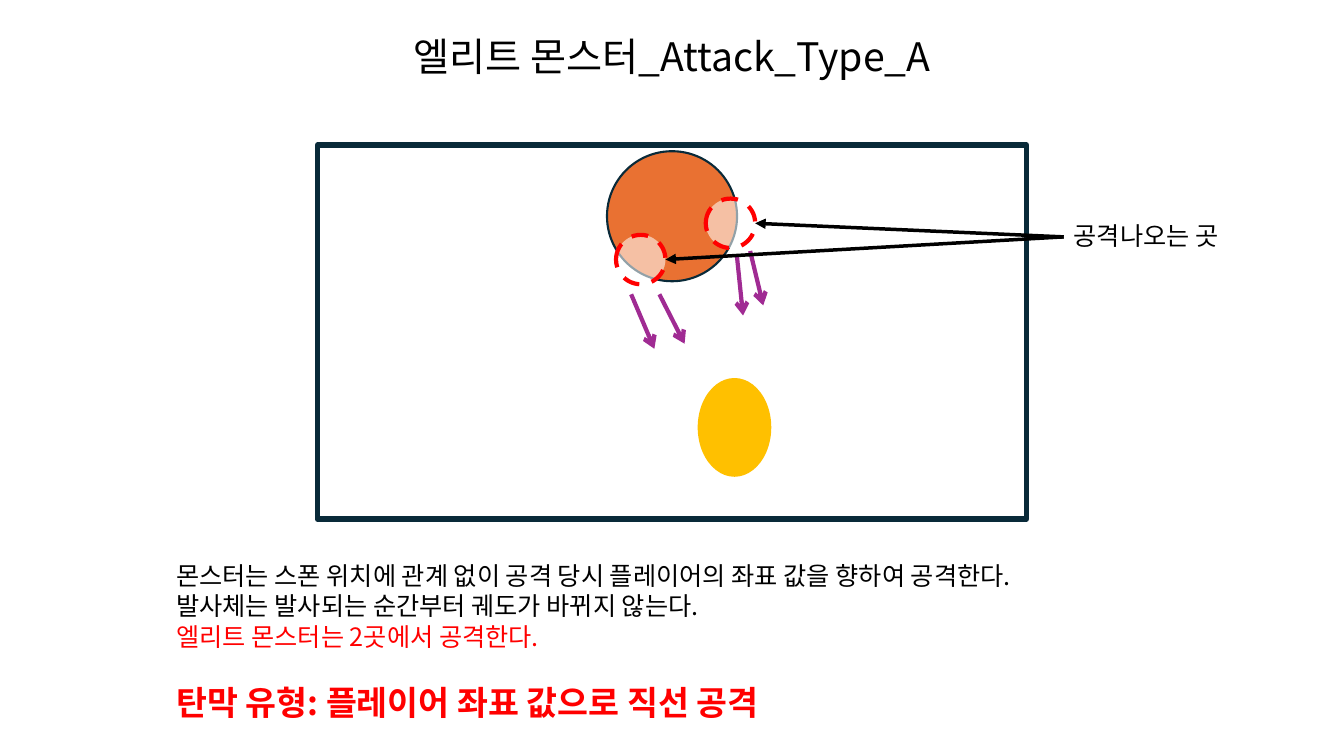
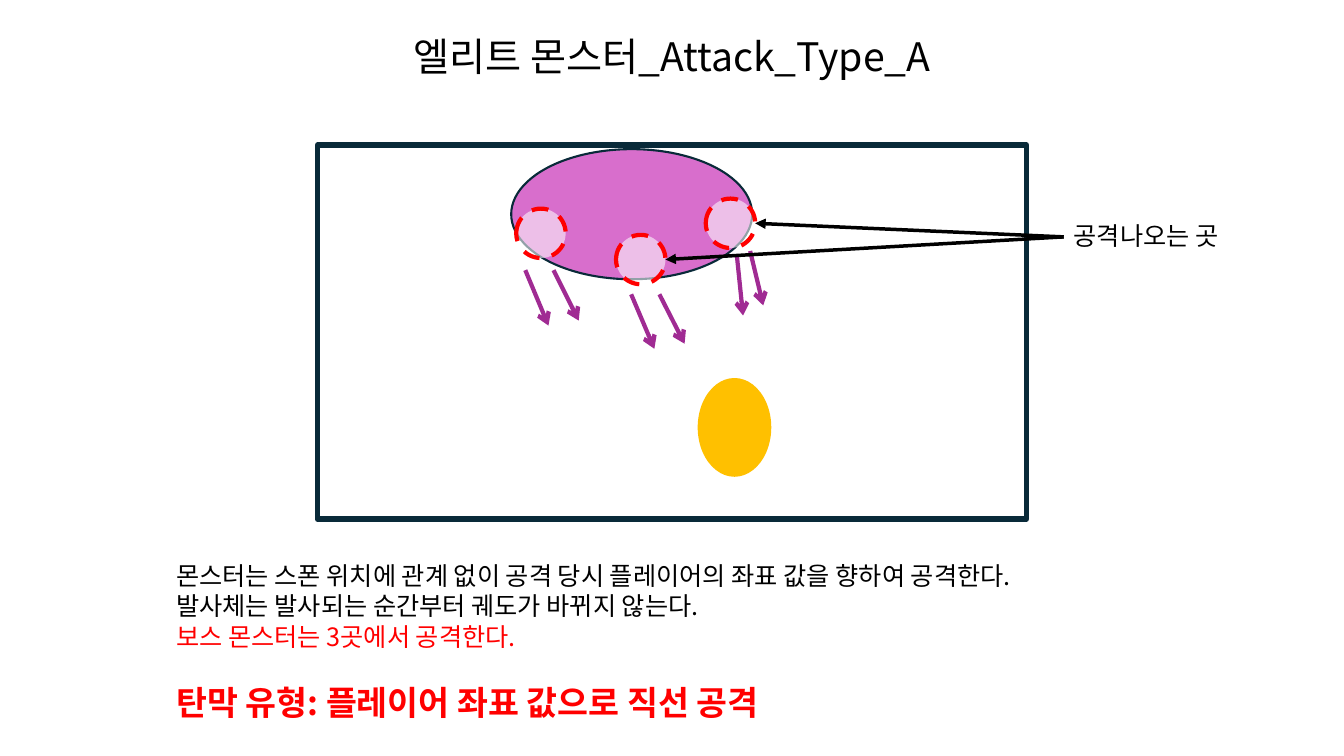
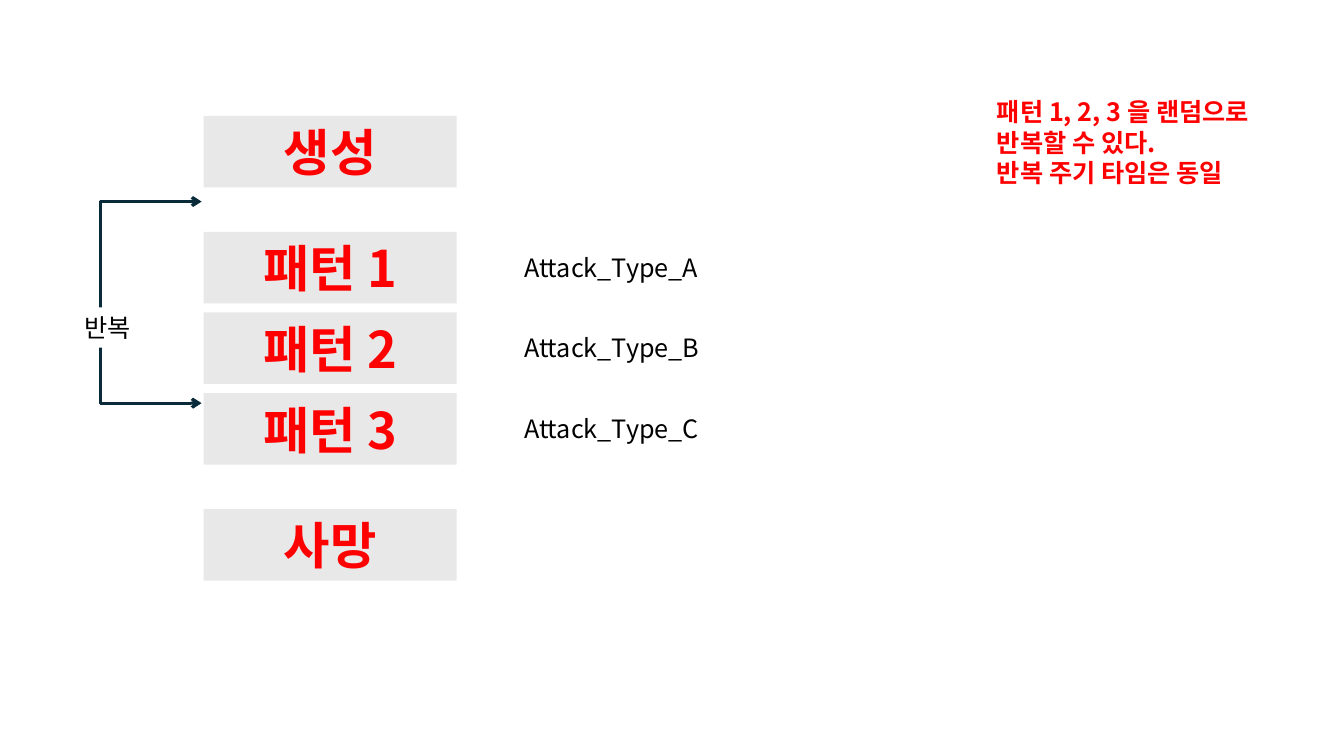
from lxml.etree import SubElement
from pptx import Presentation
from pptx.dml.color import RGBColor
from pptx.enum.dml import MSO_LINE
from pptx.enum.shapes import MSO_CONNECTOR, MSO_SHAPE
from pptx.enum.text import MSO_ANCHOR, PP_ALIGN
from pptx.oxml.ns import qn
from pptx.util import Inches, Pt

SLIDE_W, SLIDE_H = 13.33, 7.5
FONT = "Noto Sans CJK KR"
BLACK = RGBColor(0x00, 0x00, 0x00)
WHITE = RGBColor(0xFF, 0xFF, 0xFF)
RED = RGBColor(0xFF, 0x00, 0x00)
NAVY = RGBColor(0x09, 0x2A, 0x39)
ORANGE = RGBColor(0xE9, 0x71, 0x32)
PINK = RGBColor(0xD8, 0x6E, 0xCC)
GOLD = RGBColor(0xFF, 0xC0, 0x00)
PURPLE = RGBColor(0xA0, 0x2B, 0x93)
GREY = RGBColor(0xE8, 0xE8, 0xE8)

# Arena, centred on the slide
ARENA_W, ARENA_H, ARENA_TOP = 7.03, 3.71, 1.44
ARENA_LEFT = (SLIDE_W - ARENA_W) / 2
MUZZLE = 0.49
CALLOUT = (10.55, 2.35)

# Each muzzle: top-left corner of its circle, then its shots (from, to)
LOWER_MUZZLE = ((6.11, 2.33), [((6.26, 2.92), (6.49, 3.46)),
                               ((6.54, 2.92), (6.79, 3.41))])
RIGHT_MUZZLE = ((7.0, 1.97), [((7.44, 2.49), (7.57, 3.03)),
                              ((7.31, 2.55), (7.37, 3.13))])
LEFT_MUZZLE = ((5.12, 2.07), [((5.21, 2.68), (5.44, 3.23)),
                              ((5.49, 2.68), (5.74, 3.18))])

# Life cycle rows
STAGE_LEFT, STAGE_W, STAGE_H = 2.02, 2.51, 0.71
PATTERN_TOP, PATTERN_STEP, PHASE_STEP = 2.3, 0.8, 1.15
ATTACK_LEFT = 5.1

# Repeat loop: start point, then cubic segments (control, control, end)
LOOP_START = (1.65, 2.33)
LOOP_CURVES = [
    ((1.49, 2.37), (1.62, 2.32), (1.41, 2.51)),
    ((1.36, 2.56), (1.30, 2.60), (1.24, 2.65)),
    ((1.18, 2.78), (1.13, 2.87), (1.10, 3.02)),
    ((1.08, 3.10), (1.07, 3.19), (1.06, 3.27)),
    ((1.08, 3.42), (1.08, 3.57), (1.11, 3.71)),
    ((1.12, 3.76), (1.16, 3.80), (1.19, 3.84)),
    ((1.27, 3.95), (1.39, 4.02), (1.51, 4.04)),
    ((1.56, 4.05), (1.60, 4.04), (1.65, 4.04)),
]


def write(shape, lines, align=PP_ALIGN.LEFT, anchor=MSO_ANCHOR.TOP):
    """Fill a shape with lines of (text, size, colour, bold, space before)."""
    frame = shape.text_frame
    frame.word_wrap = True
    frame.vertical_anchor = anchor
    for i, (text, size, color, bold, before) in enumerate(lines):
        paragraph = frame.add_paragraph() if i else frame.paragraphs[0]
        paragraph.alignment = align
        paragraph.space_before = Pt(before)
        run = paragraph.add_run()
        run.text = text
        font = run.font
        font.name, font.size, font.bold = FONT, Pt(size), bold
        font.color.rgb = color
        SubElement(run._r.get_or_add_rPr(), qn("a:ea"), typeface=FONT)


def add_text(slide, box, lines, align=PP_ALIGN.LEFT):
    write(slide.shapes.add_textbox(*map(Inches, box)), lines, align)


def style(shape, fill=None, line=None, width=1):
    shape.shadow.inherit = False
    if fill is None:
        shape.fill.background()
    else:
        shape.fill.solid()
        shape.fill.fore_color.rgb = fill
    if line is None:
        shape.line.fill.background()
    else:
        shape.line.color.rgb = line
        shape.line.width = Pt(width)


def add_figure(slide, kind, box, fill=None, line=None, width=1):
    figure = slide.shapes.add_shape(kind, *map(Inches, box))
    style(figure, fill, line, width)
    return figure


def add_label_box(slide, box, text, size, fill, color, bold):
    label = add_figure(slide, MSO_SHAPE.RECTANGLE, box, fill)
    write(label, [(text, size, color, bold, 0)], PP_ALIGN.CENTER, MSO_ANCHOR.MIDDLE)


def add_arrowheads(shape, head, *ends):
    for end in ends:
        SubElement(shape.line._get_or_add_ln(), qn(f"a:{end}"), type=head)


def add_arrow(slide, start, end, color, width, head):
    arrow = slide.shapes.add_connector(MSO_CONNECTOR.STRAIGHT, *map(Inches, start + end))
    arrow.line.color.rgb = color
    arrow.line.width = Pt(width)
    add_arrowheads(arrow, head, "tailEnd")
    SubElement(arrow._element.spPr, qn("a:effectLst"))


def add_muzzle(slide, muzzle):
    """Dashed, translucent circle with the shots that leave it."""
    corner, shots = muzzle
    for start, end in shots:
        add_arrow(slide, start, end, PURPLE, 3, "arrow")
    circle = add_figure(slide, MSO_SHAPE.OVAL, corner + (MUZZLE, MUZZLE), WHITE, RED, 3)
    circle.line.dash_style = MSO_LINE.DASH
    white = circle._element.spPr.find(qn("a:solidFill")).find(qn("a:srgbClr"))
    SubElement(white, qn("a:alpha"), val="56000")


def curve_points(start, curves, steps=8):
    for c1, c2, end in curves:
        for t in (i / steps for i in range(1, steps + 1)):
            u = 1 - t
            yield tuple(u**3 * a + 3 * u * u * t * b + 3 * u * t * t * c + t**3 * d
                        for a, b, c, d in zip(start, c1, c2, end))
        start = end


def add_loop(slide):
    builder = slide.shapes.build_freeform(*LOOP_START, scale=Inches(1))
    builder.add_line_segments(curve_points(LOOP_START, LOOP_CURVES), close=False)
    loop = builder.convert_to_shape()
    style(loop, line=NAVY, width=2.25)
    add_arrowheads(loop, "arrow", "headEnd", "tailEnd")


def build_attack(slide, monster_box, monster_color, muzzles, summary):
    add_text(slide, (1.65, 5.51, 10.04, 1.72), [
        ("몬스터는 스폰 위치에 관계 없이 공격 당시 플레이어의 좌표 값을 향하여 공격한다.",
         18, BLACK, False, 0),
        ("발사체는 발사되는 순간부터 궤도가 바뀌지 않는다.", 18, BLACK, False, 0),
        (summary, 18, RED, False, 0),
        ("탄막 유형: 플레이어 좌표 값으로 직선 공격", 24, RED, True, 22),
    ])
    add_figure(slide, MSO_SHAPE.RECTANGLE, (ARENA_LEFT, ARENA_TOP, ARENA_W, ARENA_H),
               line=NAVY, width=4)
    add_figure(slide, MSO_SHAPE.OVAL, monster_box, monster_color, NAVY, 1.5)
    add_figure(slide, MSO_SHAPE.OVAL, (6.92, 3.75, 0.73, 0.98), GOLD)
    add_text(slide, (ARENA_LEFT, 0.27, ARENA_W, 0.57),
             [("엘리트 몬스터_Attack_Type_A", 28, BLACK, False, 0)], PP_ALIGN.CENTER)
    for muzzle in muzzles:
        add_muzzle(slide, muzzle)
    add_text(slide, (CALLOUT[0], 2.14, 2.08, 0.4),
             [("공격나오는 곳", 18, BLACK, False, 0)])
    for (left, top), _ in (RIGHT_MUZZLE, LOWER_MUZZLE):
        add_arrow(slide, CALLOUT, (left + MUZZLE, top + MUZZLE / 2), BLACK, 2.5, "triangle")


def build_life_cycle(slide):
    pattern_tops = [PATTERN_TOP + i * PATTERN_STEP for i in range(3)]
    stages = [("생성", PATTERN_TOP - PHASE_STEP)]
    stages += [(f"패턴 {i}", top) for i, top in enumerate(pattern_tops, 1)]
    stages += [("사망", pattern_tops[-1] + PHASE_STEP)]
    for name, top in stages:
        add_label_box(slide, (STAGE_LEFT, top, STAGE_W, STAGE_H), name, 36, GREY, RED, True)
    for letter, top in zip("ABC", pattern_tops):
        add_text(slide, (ATTACK_LEFT, top + 0.15, 4.44, 0.4),
                 [(f"Attack_Type_{letter}", 18, BLACK, False, 0)])
    add_loop(slide)
    add_label_box(slide, (0.48, 3.05, 1.17, 0.4), "반복", 18, WHITE, BLACK, False)
    add_text(slide, (9.79, 0.91, 3.06, 1.01), [
        ("패턴 1, 2, 3 을 랜덤으로 반복할 수 있다.", 18, RED, True, 0),
        ("반복 주기 타임은 동일", 18, RED, True, 0),
    ])


def main():
    deck = Presentation()
    deck.slide_width, deck.slide_height = Inches(SLIDE_W), Inches(SLIDE_H)
    elite, boss, life_cycle = (deck.slides.add_slide(deck.slide_layouts[6])
                               for _ in range(3))
    build_attack(elite, (6.02, 1.5, 1.29, 1.29), ORANGE,
                 [LOWER_MUZZLE, RIGHT_MUZZLE], "엘리트 몬스터는 2곳에서 공격한다.")
    build_attack(boss, (5.07, 1.48, 2.39, 1.29), PINK,
                 [LOWER_MUZZLE, RIGHT_MUZZLE, LEFT_MUZZLE], "보스 몬스터는 3곳에서 공격한다.")
    build_life_cycle(life_cycle)
    deck.save("out.pptx")


if __name__ == "__main__":
    main()
